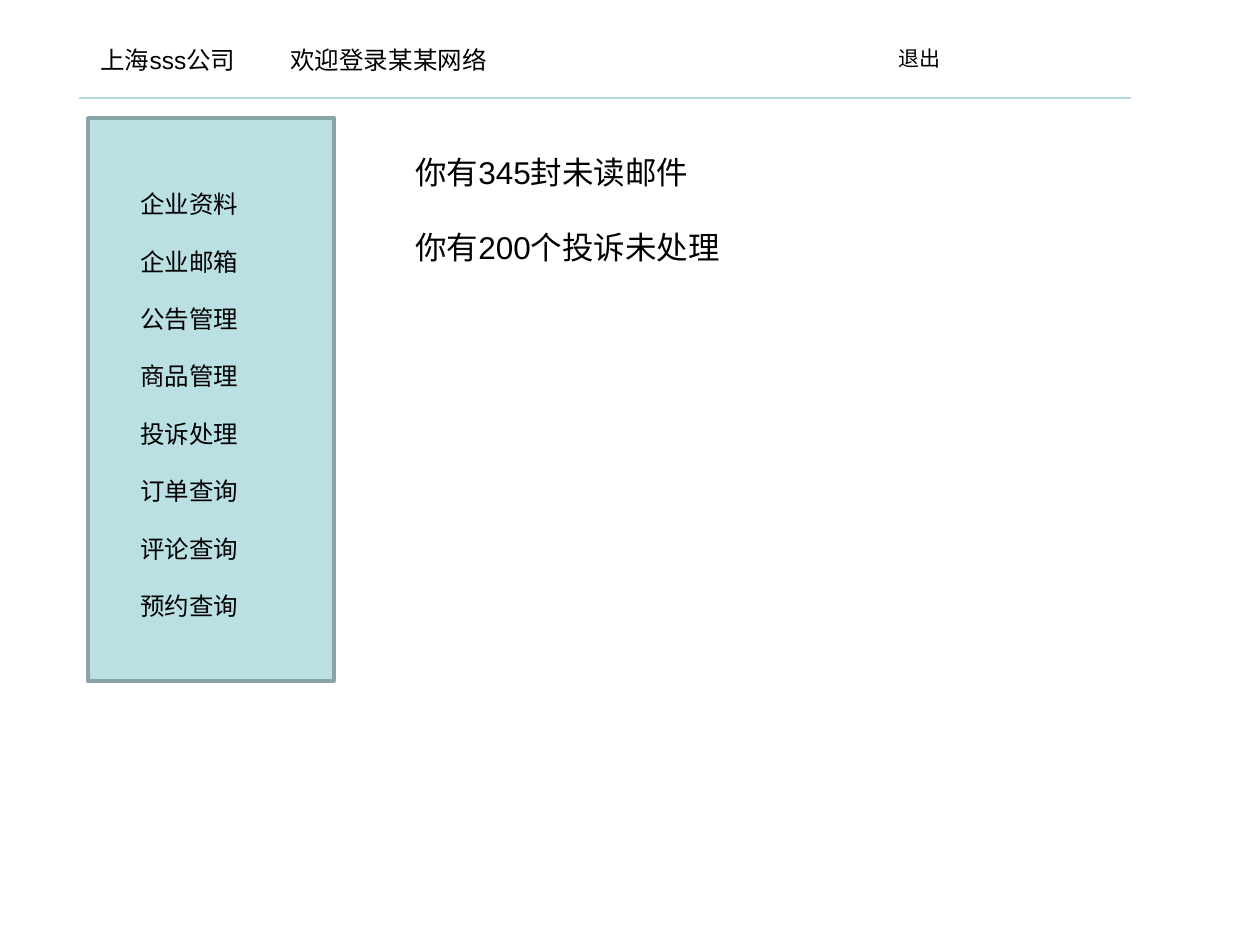
from lxml import etree
from pptx import Presentation
from pptx.dml.color import RGBColor
from pptx.enum.shapes import MSO_CONNECTOR, MSO_SHAPE
from pptx.enum.text import MSO_AUTO_SIZE
from pptx.oxml.ns import qn
from pptx.util import Emu, Pt

RECT = MSO_SHAPE.RECTANGLE
STRAIGHT = MSO_CONNECTOR.STRAIGHT
GROW = MSO_AUTO_SIZE.SHAPE_TO_FIT_TEXT

PX = 914400 // 126
FONT = "Arial"
COLORS = {"text": "000000", "panel": "BBE0E3", "border": "89A4A7", "rule": "B6DCDF"}

HEADER = ["上海sss公司\t欢迎登录某某网络"]
LOGOUT = ["退出"]
MENU = ["企业资料", "企业邮箱", "公告管理", "商品管理",
        "投诉处理", "订单查询", "评论查询", "预约查询"]
NOTICES = ["你有345封未读邮件", "你有200个投诉未处理"]

PANEL_BOX = (88, 118, 246, 563)
MENU_BOX = (128, 183, 168, 484)
RULE = (79, 98, 1131, 98)
HEADER_BOX = (88, 39, 433, 43)
LOGOUT_BOX = (886, 39, 266, 38)
NOTICE_BOX = (403, 147, 679, 202)
WELCOME_TAB = 190


def px(*values):
    return [Emu(v * PX) for v in values]


def rgb(name):
    return RGBColor.from_string(COLORS[name])


def add_text(slide, box, lines, size, gap=0, tab=None):
    tf = slide.shapes.add_textbox(*px(*box)).text_frame
    tf.word_wrap = True
    tf.auto_size = GROW
    for i, line in enumerate(lines):
        p = tf.add_paragraph() if i else tf.paragraphs[0]
        if i:
            p.space_before = Pt(gap)
        if tab:
            tabs = etree.SubElement(p._p.get_or_add_pPr(), qn("a:tabLst"))
            etree.SubElement(tabs, qn("a:tab"), pos=str(tab * PX), algn="l")
        r = p.add_run()
        r.text = line
        r.font.name = FONT
        r.font.size = Pt(size)
        r.font.color.rgb = rgb("text")


prs = Presentation()
prs.slide_width, prs.slide_height = px(1260, 945)
slide = prs.slides.add_slide(prs.slide_layouts[6])

sp = slide.shapes.add_shape(RECT, *px(*PANEL_BOX))
sp.shadow.inherit = False
sp.fill.solid()
sp.fill.fore_color.rgb = rgb("panel")
sp.line.color.rgb = rgb("border")
sp.line.width = Pt(2)

add_text(slide, MENU_BOX, MENU, 14, gap=16)

rule = slide.shapes.add_connector(STRAIGHT, *px(*RULE))
rule.line.color.rgb = rgb("rule")
rule.line.width = Pt(0.75)
etree.SubElement(rule._element.spPr, qn("a:effectLst"))

add_text(slide, HEADER_BOX, HEADER, 14, tab=WELCOME_TAB)
add_text(slide, LOGOUT_BOX, LOGOUT, 12)
add_text(slide, NOTICE_BOX, NOTICES, 18, gap=21)

prs.save("out.pptx")
